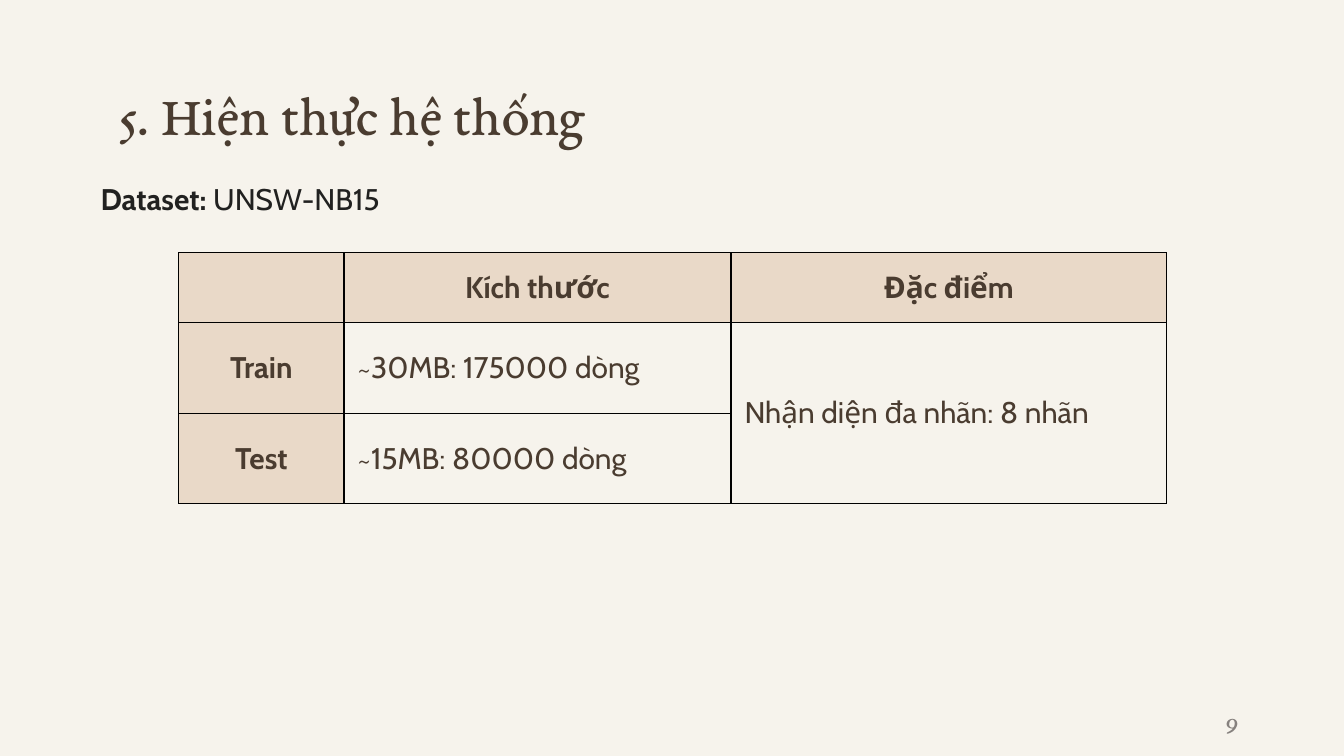
from dataclasses import dataclass

from lxml.etree import SubElement
from pptx import Presentation
from pptx.dml.color import RGBColor
from pptx.enum.text import MSO_ANCHOR as Anchor, MSO_AUTO_SIZE as AutoSize, PP_ALIGN as Align
from pptx.oxml.ns import qn
from pptx.shapes.base import BaseShape
from pptx.slide import Slide
from pptx.table import _Cell as Cell
from pptx.text.text import TextFrame
from pptx.util import Inches, Pt


@dataclass(frozen=True)
class Theme:
    background: str = "F6F3EC"
    heading_fill: str = "E9D9C8"
    brown: str = "4A3C30"
    dark: str = "212120"
    gray: str = "86817E"
    border: str = "000000"
    border_width: float = 0.75
    serif: str = "EB Garamond"
    sans: str = "Cabin"
    title_size: int = 30
    body_size: int = 16
    number_size: int = 14


THEME = Theme()


@dataclass(frozen=True)
class TextStyle:
    font: str
    size: int
    color: str
    align: Align = Align.LEFT
    anchor: Anchor = Anchor.TOP
    line_spacing: float = 1.0


@dataclass(frozen=True)
class Segment:
    text: str
    bold: bool = False


@dataclass(frozen=True)
class Box:
    left: float
    top: float
    width: float
    height: float


@dataclass(frozen=True)
class CellItem:
    row: int
    column: int
    text: str = ""
    heading: bool = False


TITLE_STYLE = TextStyle(THEME.serif, THEME.title_size, THEME.brown)
DATASET_STYLE = TextStyle(THEME.sans, THEME.body_size, THEME.dark, line_spacing=1.5)
NUMBER_STYLE = TextStyle(THEME.serif, THEME.number_size, THEME.gray, Align.RIGHT, Anchor.MIDDLE)
BODY_STYLE = TextStyle(THEME.sans, THEME.body_size, THEME.brown)
HEADING_STYLE = TextStyle(THEME.sans, THEME.body_size, THEME.brown, Align.CENTER)

SLIDE_WIDTH = Inches(10)
SLIDE_HEIGHT = SLIDE_WIDTH * 9 // 16
TABLE_BOX = Box(1.33, 1.88, 7.35, 1.87)
COLUMN_WIDTHS = (1.23, 2.88, 3.24)
HEADER_HEIGHT = 0.52
BODY_HEIGHT = (TABLE_BOX.height - HEADER_HEIGHT) / 2
ROW_HEIGHTS = (HEADER_HEIGHT, BODY_HEIGHT, BODY_HEIGHT)
CELLS = (
    CellItem(0, 0, heading=True),
    CellItem(0, 1, "Kích thước", True),
    CellItem(0, 2, "Đặc điểm", True),
    CellItem(1, 0, "Train", True),
    CellItem(1, 1, "~30MB: 175000 dòng"),
    CellItem(1, 2, "Nhận diện đa nhãn: 8 nhãn"),
    CellItem(2, 0, "Test", True),
    CellItem(2, 1, "~15MB: 80000 dòng"),
)


def apply_format(target: object, values: dict[str, object]) -> None:
    for name, value in values.items():
        setattr(target, name, value)


def write_text(frame: TextFrame, segments: tuple[Segment, ...], style: TextStyle) -> None:
    paragraph = frame.paragraphs[0]
    apply_format(paragraph, {"alignment": style.align, "line_spacing": style.line_spacing})
    for segment in segments:
        run = paragraph.add_run()
        run.text = segment.text
        apply_format(run.font, {"name": style.font, "size": Pt(style.size), "bold": segment.bold})
        run.font.color.rgb = RGBColor.from_string(style.color)


def fill_text_shape(
    shape: BaseShape, box: Box, segments: tuple[Segment, ...], style: TextStyle, inset: float
) -> None:
    apply_format(shape, {
        "left": Inches(box.left),
        "top": Inches(box.top),
        "width": Inches(box.width),
        "height": Inches(box.height),
    })
    frame = shape.text_frame
    apply_format(frame, {
        "word_wrap": True,
        "auto_size": AutoSize.NONE,
        "vertical_anchor": style.anchor,
        "margin_left": Inches(0.1),
        "margin_right": Inches(0.1),
        "margin_top": Inches(inset),
        "margin_bottom": Inches(inset),
    })
    write_text(frame, segments, style)


def add_text_box(
    slide: Slide, box: Box, segments: tuple[Segment, ...], style: TextStyle, inset: float
) -> None:
    shape = slide.shapes.add_textbox(0, 0, 0, 0)
    fill_text_shape(shape, box, segments, style, inset)


def format_cell(cell: Cell, fill_color: str | None) -> None:
    cell.vertical_anchor = Anchor.MIDDLE
    properties = cell._tc.get_or_add_tcPr()
    for side in ("a:lnL", "a:lnR", "a:lnT", "a:lnB"):
        line = SubElement(properties, qn(side), w=str(Pt(THEME.border_width)))
        solid = SubElement(line, qn("a:solidFill"))
        SubElement(solid, qn("a:srgbClr"), val=THEME.border)
    if fill_color:
        cell.fill.solid()
        cell.fill.fore_color.rgb = RGBColor.from_string(fill_color)
    else:
        cell.fill.background()


def add_dataset_table(slide: Slide) -> None:
    table = slide.shapes.add_table(
        len(ROW_HEIGHTS), len(COLUMN_WIDTHS),
        Inches(TABLE_BOX.left), Inches(TABLE_BOX.top),
        Inches(TABLE_BOX.width), Inches(TABLE_BOX.height),
    ).table
    apply_format(table, {"first_row": False, "horz_banding": False})
    for column, width in zip(table.columns, COLUMN_WIDTHS):
        column.width = Inches(width)
    for row, height in zip(table.rows, ROW_HEIGHTS):
        row.height = Inches(height)
    table.cell(1, 2).merge(table.cell(2, 2))
    for item in CELLS:
        cell = table.cell(item.row, item.column)
        format_cell(cell, THEME.heading_fill if item.heading else None)
        if item.text:
            style = HEADING_STYLE if item.heading else BODY_STYLE
            write_text(cell.text_frame, (Segment(item.text, item.heading),), style)
    format_cell(table.cell(2, 2), None)


def main() -> None:
    presentation = Presentation()
    apply_format(presentation, {"slide_width": SLIDE_WIDTH, "slide_height": SLIDE_HEIGHT})
    slide = presentation.slides.add_slide(presentation.slide_layouts[5])
    slide.background.fill.solid()
    slide.background.fill.fore_color.rgb = RGBColor.from_string(THEME.background)

    title = (Segment("5. Hiện thực hệ thống"),)
    dataset = (Segment("Dataset: ", True), Segment("UNSW-NB15"))
    fill_text_shape(slide.shapes.title, Box(0.79, 0.49, 8.43, 0.63), title, TITLE_STYLE, 0.1)
    add_text_box(slide, Box(0.65, 1.11, 8.82, 0.63), dataset, DATASET_STYLE, 0.1)
    add_text_box(slide, Box(7.06, 5.21, 2.25, 0.3), (Segment("9"),), NUMBER_STYLE, 0.05)
    add_dataset_table(slide)
    presentation.save("out.pptx")


if __name__ == "__main__":
    main()
